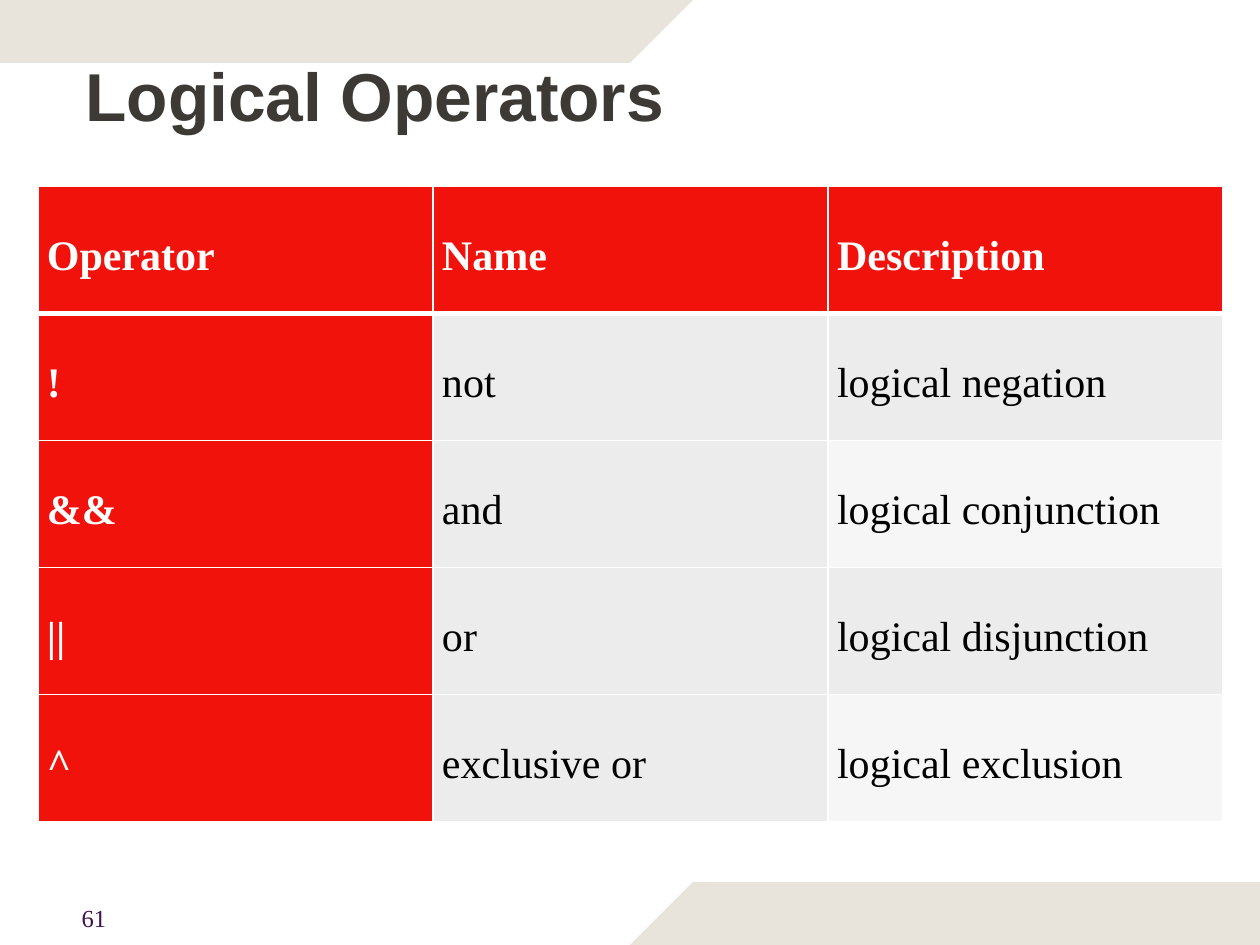
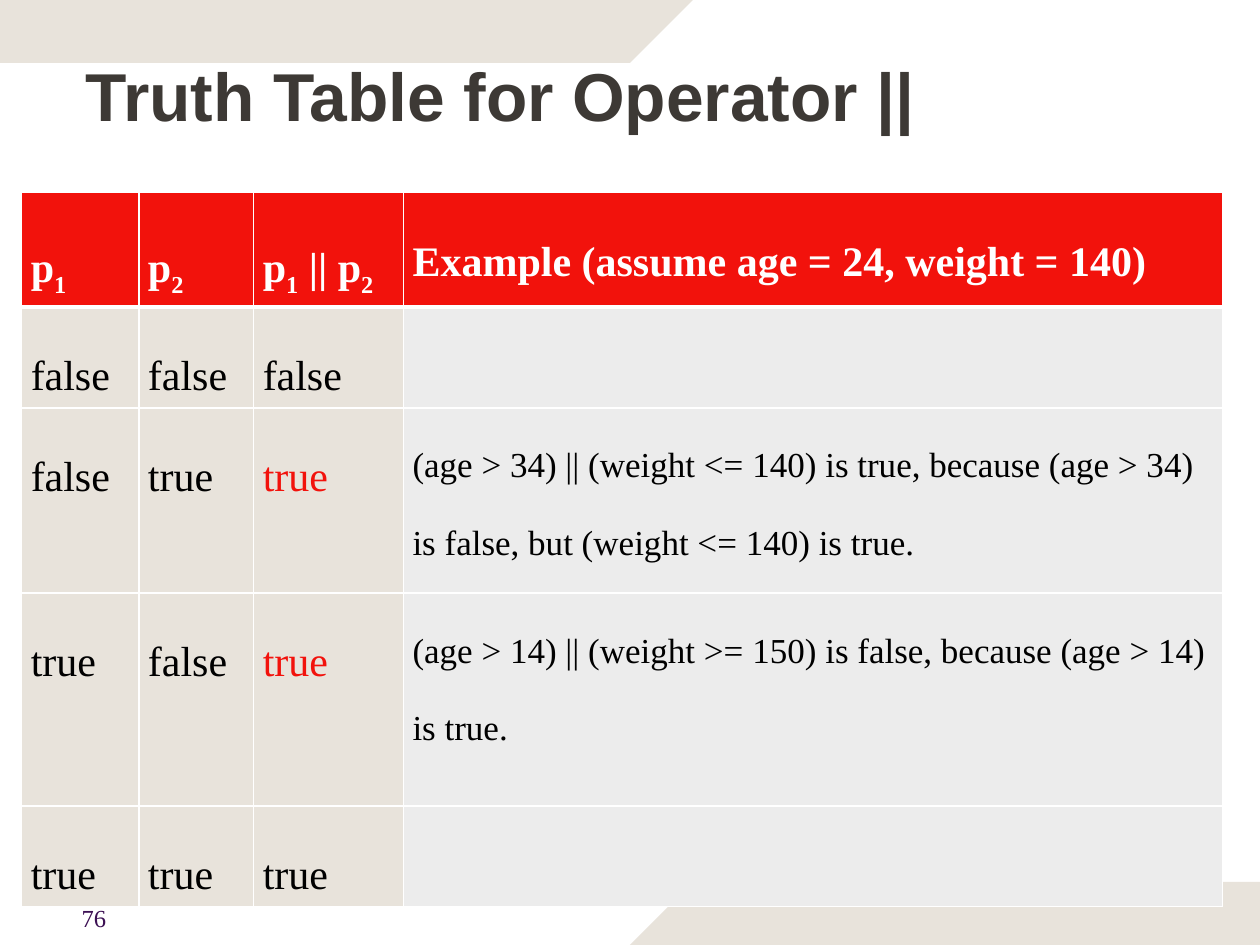
"""Build two slides on logical operators and the truth table for ||."""
from lxml import etree
from pptx import Presentation
from pptx import util as u
from pptx.dml.color import RGBColor
from pptx.enum import text
from pptx.oxml import ns

COLORS = {
    "sand": "E8E3DB",
    "red": "F2120C",
    "grey": "ECECEC",
    "pale": "F6F6F6",
    "white": "FFFFFF",
    "black": "000000",
    "title": "3D3935",
    "number": "3C1053",
}
BANDS = [
    [(0, 0), (396, 0), (360, 36), (0, 36)],
    [(720, 540), (360, 540), (396, 504), (720, 504)],
]
SLIDES = [
    {
        "title": "Logical Operators",
        "number": "61",
        "origin": (21.6, 106.6),
        "widths": [225.8] * 3,
        "heights": [72.6] * 5,
        "fills": [("red", "red"), ("grey", "grey"), ("grey", "pale")],
        "rows": [
            ("Operator", "Name", "Description"),
            ("!", "not", "logical negation"),
            ("&&", "and", "logical conjunction"),
            ("||", "or", "logical disjunction"),
            ("^", "exclusive or", "logical exclusion"),
        ],
    },
    {
        "title": "Truth Table for Operator ||",
        "number": "76",
        "origin": (12.4, 109.8),
        "widths": [67, 65.6, 85.6, 468],
        "heights": [57.6, 57.6, 105.8, 121.7, 57.6],
        "fills": [("sand", "sand")] * 3 + [("grey", "grey")],
        "rows": [
            ("p~1~", "p~2~", "p~1~ || p~2~", "Example (assume age = 24, weight = 140)"),
            ("false", "false", "false", ""),
            ("false", "true", "true",
             "(age > 34) || (weight <= 140) is true, because (age > 34) "
             "is false, but (weight <= 140) is true."),
            ("true", "false", "true",
             "(age > 14) || (weight >= 150) is false, because (age > 14) is true."),
            ("true", "true", "true", ""),
        ],
    },
]


def style(paragraph, name, size, color, bold=False):
    font = paragraph.font
    font.name, font.size, font.bold = name, u.Pt(size), bold
    font.color.rgb = RGBColor.from_string(COLORS[color])


def add_border(cell, side, width):
    line = etree.SubElement(cell._tc.get_or_add_tcPr(), ns.qn(f"a:ln{side}"), w=str(u.Pt(width)))
    fill = etree.SubElement(line, ns.qn("a:solidFill"))
    etree.SubElement(fill, ns.qn("a:srgbClr"), val=COLORS["white"])


deck = Presentation()
deck.slide_width, deck.slide_height = u.Pt(720), u.Pt(540)

for content in SLIDES:
    page = deck.slides.add_slide(deck.slide_layouts[6])

    for corners in BANDS:
        points = [(u.Pt(x), u.Pt(y)) for x, y in corners]
        builder = page.shapes.build_freeform(*points[0])
        builder.add_line_segments(points[1:], close=True)
        band = builder.convert_to_shape()
        band.shadow.inherit = False
        band.fill.solid()
        band.fill.fore_color.rgb = RGBColor.from_string(COLORS["sand"])
        band.line.fill.background()

    number = page.shapes.add_textbox(u.Pt(39.6), u.Pt(512.6), u.Pt(35.3), u.Pt(19.4))
    number.text_frame.word_wrap = True
    number.text_frame.text = content["number"]
    style(number.text_frame.paragraphs[0], "Times New Roman", 14, "number")

    title = page.shapes.add_textbox(u.Pt(41.8), u.Pt(0), u.Pt(612), u.Pt(108))
    title.text_frame.word_wrap = True
    title.text_frame.vertical_anchor = text.MSO_ANCHOR.MIDDLE
    title.text_frame.text = content["title"]
    style(title.text_frame.paragraphs[0], "Arial", 38.7, "title", True)

    widths, heights, rows = content["widths"], content["heights"], content["rows"]
    left, top = content["origin"]
    table = page.shapes.add_table(
        len(rows), len(widths), u.Pt(left), u.Pt(top), u.Pt(sum(widths)), u.Pt(sum(heights))
    ).table
    table.horz_banding = False
    for column, width in zip(table.columns, widths):
        column.width = u.Pt(width)

    for row_index, values in enumerate(rows):
        table.rows[row_index].height = u.Pt(heights[row_index])
        is_header = row_index == 0
        for column_index, value in enumerate(values):
            cell = table.cell(row_index, column_index)
            for side in "LR":
                add_border(cell, side, 1)
            add_border(cell, "T", 3 if row_index == 1 else 1)
            add_border(cell, "B", 3 if is_header else 1)
            odd_fill, even_fill = content["fills"][column_index]
            fill = "red" if is_header else odd_fill if row_index % 2 else even_fill
            cell.fill.solid()
            cell.fill.fore_color.rgb = RGBColor.from_string(COLORS[fill])
            if not value:
                continue

            cell.margin_left = cell.margin_right = u.Pt(5.2)
            cell.margin_top = cell.margin_bottom = 0
            para = cell.text_frame.paragraphs[0]
            para.line_spacing = 2.0
            for piece_index, piece in enumerate(value.split("~")):
                if piece:
                    span = para.add_run()
                    span.text = piece
                    if piece_index % 2:
                        span._r.get_or_add_rPr().set("baseline", "-25000")
            decided_by_one = column_index == 2 and value == "true" and values[0] != values[1]
            color = "white" if fill == "red" else "red" if decided_by_one else "black"
            size = 20 if column_index == 3 and not is_header else 24
            style(para, "Times New Roman", size, color, fill == "red")

deck.save("out.pptx")
